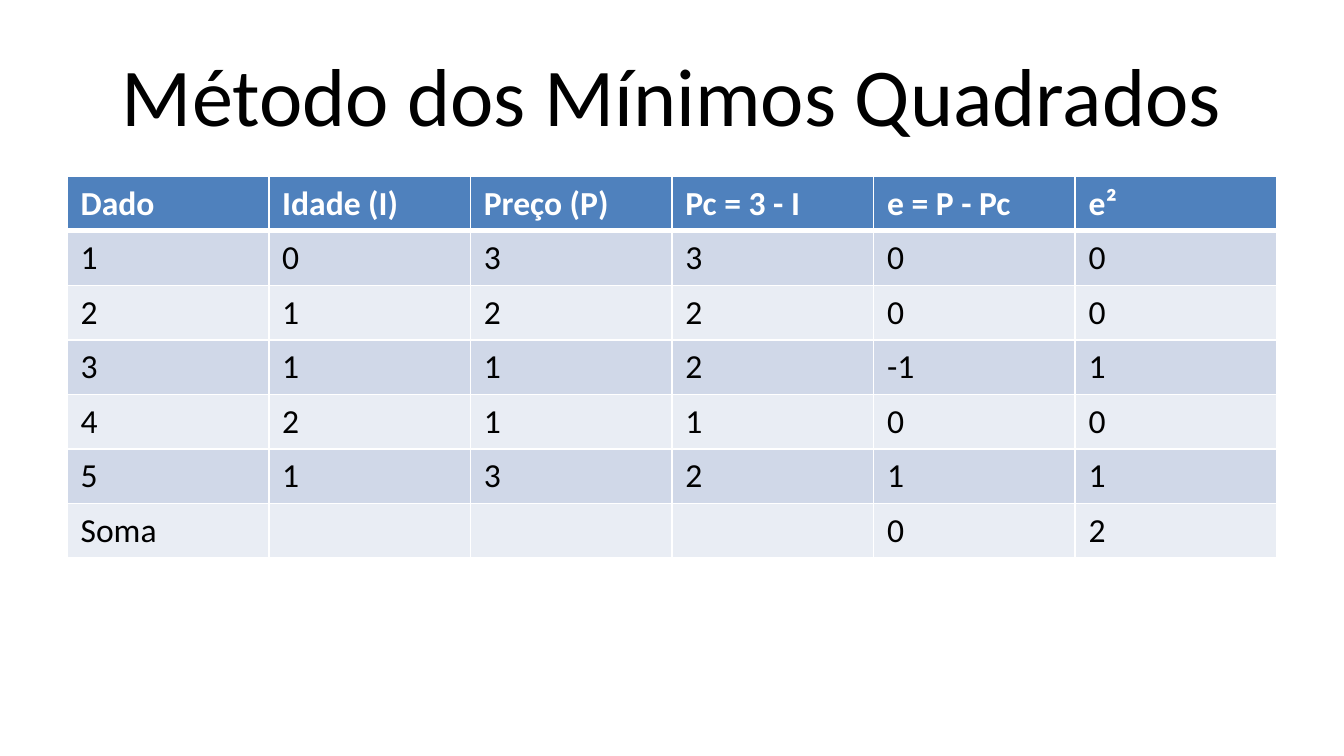
from dataclasses import dataclass

from lxml.etree import SubElement
from pptx import Presentation
from pptx.dml.color import RGBColor
from pptx.enum.text import MSO_ANCHOR, MSO_AUTO_SIZE, PP_ALIGN
from pptx.oxml.ns import qn
from pptx.slide import Slide
from pptx.table import _Cell
from pptx.text.text import _Paragraph
from pptx.util import Pt

BLACK = RGBColor(0x00, 0x00, 0x00)
WHITE = RGBColor(0xFF, 0xFF, 0xFF)
HEADER_BLUE = RGBColor(0x4F, 0x81, 0xBD)
BAND_DARK = RGBColor(0xD0, 0xD8, 0xE8)
BAND_LIGHT = RGBColor(0xE9, 0xED, 0xF4)

TITLE_FORMAT = {"name": "Calibri", "size": Pt(44), "bold": False}
HEADER_FORMAT = {"name": "Calibri", "size": Pt(18), "bold": True}
BODY_FORMAT = {"name": "Calibri", "size": Pt(18), "bold": False}

ROWS = [
    ("Dado", "Idade (I)", "Preço (P)", "Pc = 3 - I", "e = P - Pc", "e²"),
    ("1", "0", "3", "3", "0", "0"),
    ("2", "1", "2", "2", "0", "0"),
    ("3", "1", "1", "2", "-1", "1"),
    ("4", "2", "1", "1", "0", "0"),
    ("5", "1", "3", "2", "1", "1"),
    ("Soma", "", "", "", "0", "2"),
]


@dataclass(frozen=True)
class Area:
    left: float
    top: float
    width: float
    height: float


@dataclass(frozen=True)
class RowStyle:
    fill: RGBColor
    color: RGBColor
    font: dict
    top_border: float = 1
    bottom_border: float = 1


TITLE_AREA = Area(36, 16.2, 648, 67.5)
TABLE_AREA = Area(36, 94.5, 648, 204.4)


def format_font(para: _Paragraph, values: dict, color: RGBColor) -> None:
    for span in para.runs or [para]:
        for name, value in values.items():
            setattr(span.font, name, value)
        span.font.color.rgb = color


def draw_title(page: Slide, text: str, area: Area) -> None:
    box = page.shapes.title
    for side in ("left", "top", "width", "height"):
        setattr(box, side, Pt(getattr(area, side)))
    frame = box.text_frame
    frame.text = text
    frame.auto_size = MSO_AUTO_SIZE.NONE
    frame.vertical_anchor = MSO_ANCHOR.MIDDLE
    para = frame.paragraphs[0]
    para.alignment = PP_ALIGN.CENTER
    format_font(para, TITLE_FORMAT, BLACK)


def draw_borders(cell: _Cell, style: RowStyle) -> None:
    properties = cell._tc.get_or_add_tcPr()
    widths = {"L": 1, "R": 1, "T": style.top_border, "B": style.bottom_border}
    for side, width in widths.items():
        line = SubElement(properties, qn(f"a:ln{side}"), w=str(Pt(width)))
        fill = SubElement(line, qn("a:solidFill"))
        SubElement(fill, qn("a:srgbClr"), val=str(WHITE))


def style_for(row_index: int) -> RowStyle:
    if row_index == 0:
        return RowStyle(HEADER_BLUE, WHITE, HEADER_FORMAT, bottom_border=3)
    band = BAND_DARK if row_index % 2 else BAND_LIGHT
    return RowStyle(band, BLACK, BODY_FORMAT, top_border=3 if row_index == 1 else 1)


def fill_cell(cell: _Cell, text: str, style: RowStyle) -> None:
    draw_borders(cell, style)
    cell.fill.solid()
    cell.fill.fore_color.rgb = style.fill
    cell.text = text
    format_font(cell.text_frame.paragraphs[0], style.font, style.color)


def draw_table(page: Slide, rows: list[tuple[str, ...]], area: Area) -> None:
    table = page.shapes.add_table(
        len(rows), len(rows[0]),
        Pt(area.left), Pt(area.top), Pt(area.width), Pt(area.height),
    ).table
    for column in table.columns:
        column.width = Pt(area.width / len(rows[0]))
    for row_index, texts in enumerate(rows):
        table.rows[row_index].height = Pt(area.height / len(rows))
        style = style_for(row_index)
        for column_index, text in enumerate(texts):
            fill_cell(table.cell(row_index, column_index), text, style)


def main() -> None:
    deck = Presentation()
    deck.slide_width = Pt(720)
    deck.slide_height = Pt(405)
    page = deck.slides.add_slide(deck.slide_layouts[5])
    draw_title(page, "Método dos Mínimos Quadrados", TITLE_AREA)
    draw_table(page, ROWS, TABLE_AREA)
    deck.save("out.pptx")


if __name__ == "__main__":
    main()
